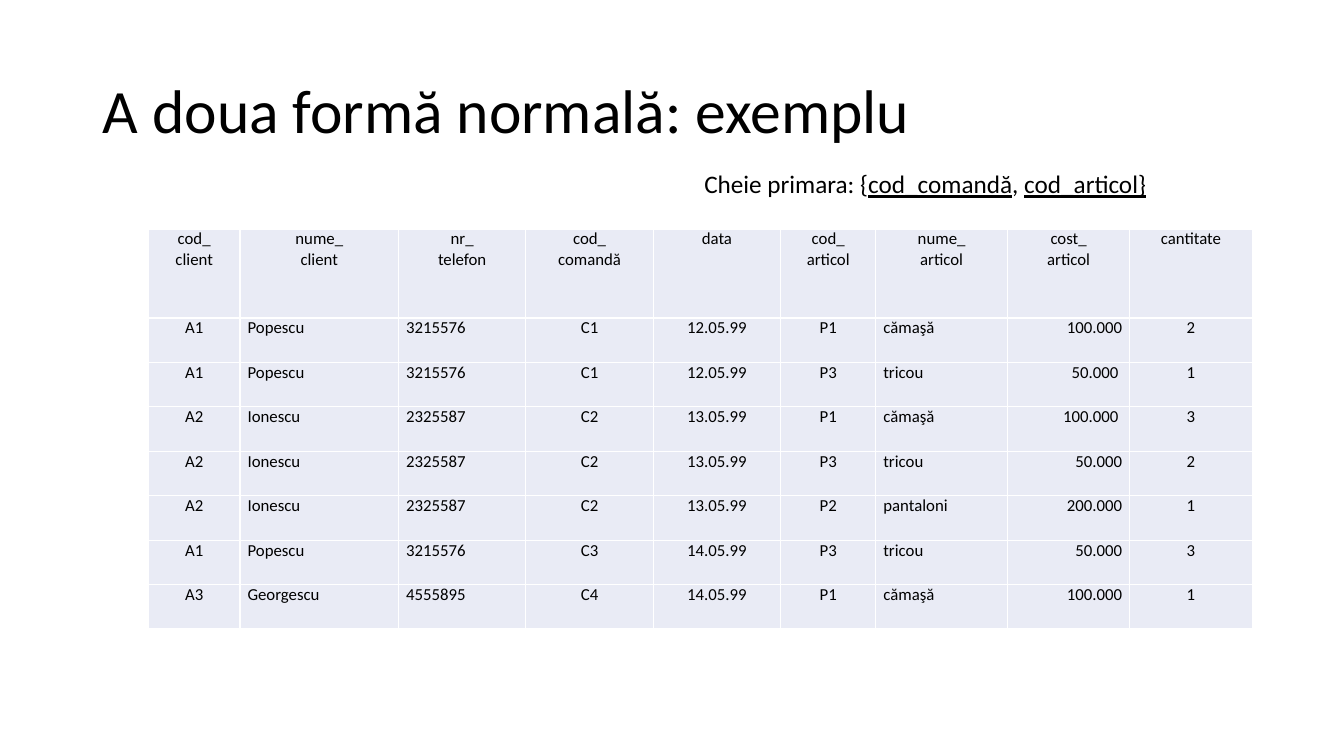
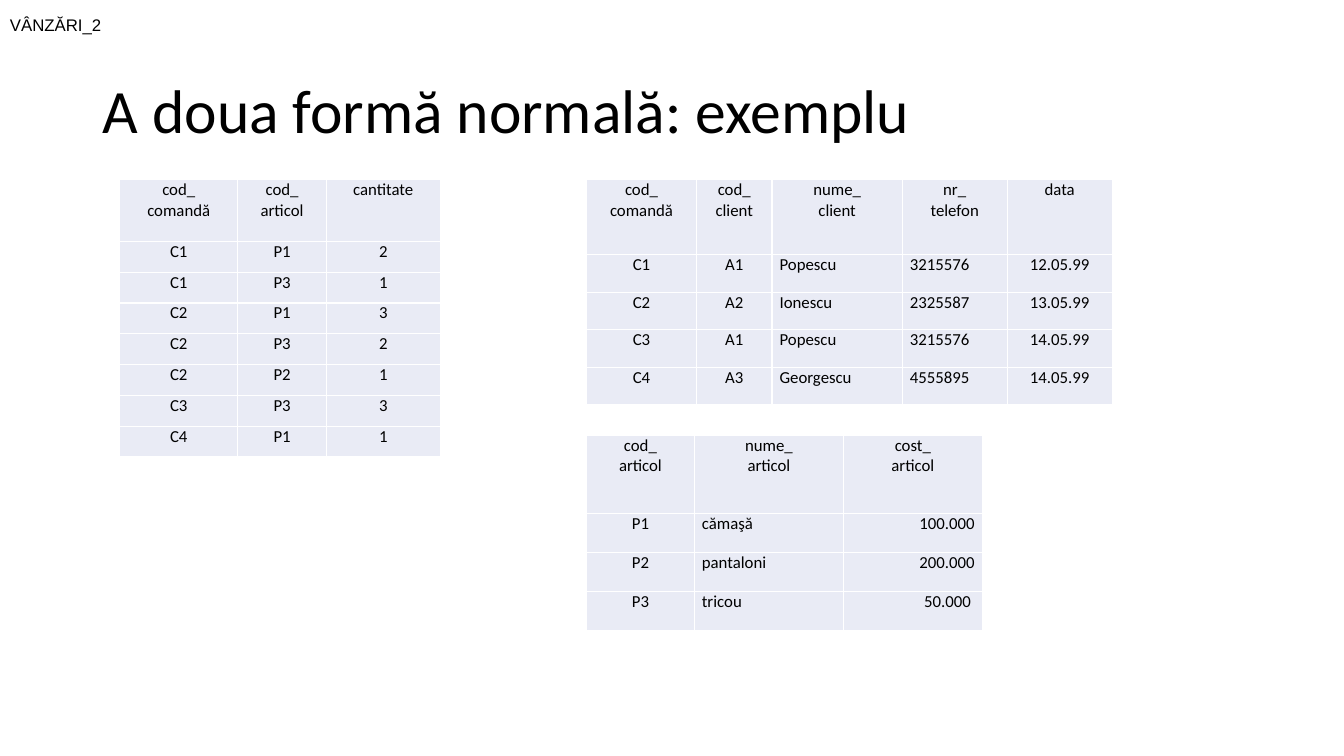
import dataclasses

import pptx
import pptx.dml.color
import pptx.enum.text
import pptx.oxml
import pptx.oxml.ns
import pptx.slide
import pptx.text.text
import pptx.util

Pt = pptx.util.Pt
Align = pptx.enum.text.PP_ALIGN
Anchor = pptx.enum.text.MSO_ANCHOR
Row = tuple[str, ...]


@dataclasses.dataclass(frozen=True)
class Theme:
    ink: str = "000000"
    cell: str = "E9EBF5"
    rule: str = "FFFFFF"
    font: str = "Calibri"
    plain: str = "Arial"
    title: float = 44
    note: float = 18
    small: float = 12
    inset: float = 5.4
    line: float = 1


@dataclasses.dataclass(frozen=True)
class Grid:
    left: float
    top: float
    widths: tuple[float, ...]
    height: float
    names: Row
    rows: list[Row]


THEME = Theme()
TITLE = "A doua formă normală: exemplu"

ALIGNS = {
    "cod_client": Align.CENTER,
    "nume_client": Align.JUSTIFY,
    "nr_telefon": Align.JUSTIFY,
    "cod_comandă": Align.CENTER,
    "data": Align.CENTER,
    "cod_articol": Align.CENTER,
    "nume_articol": Align.JUSTIFY,
    "cost_articol": Align.RIGHT,
    "cantitate": Align.CENTER,
}
FIELDS = tuple(ALIGNS)

SALES = [
    ("A1", "Popescu", "3215576", "C1", "12.05.99", "P1", "cămaşă", "100.000", "2"),
    ("A1", "Popescu", "3215576", "C1", "12.05.99", "P3", "tricou", "50.000 ", "1"),
    ("A2", "Ionescu", "2325587", "C2", "13.05.99", "P1", "cămaşă", "100.000 ", "3"),
    ("A2", "Ionescu", "2325587", "C2", "13.05.99", "P3", "tricou", "50.000", "2"),
    ("A2", "Ionescu", "2325587", "C2", "13.05.99", "P2", "pantaloni", "200.000", "1"),
    ("A1", "Popescu", "3215576", "C3", "14.05.99", "P3", "tricou", "50.000", "3"),
    ("A3", "Georgescu", "4555895", "C4", "14.05.99", "P1", "cămaşă", "100.000", "1"),
]

LINES = ("cod_comandă", "cod_articol", "cantitate")
ORDERS = ("cod_comandă", "cod_client", "nume_client", "nr_telefon", "data")
GOODS = ("cod_articol", "nume_articol", "cost_articol")


def pick(names: Row, keys: int) -> list[Row]:
    found: dict[Row, Row] = {}
    for sale in SALES:
        row = tuple(sale[FIELDS.index(name)] for name in names)
        found.setdefault(row[:keys], row)
    return list(found.values())


def style(run: pptx.text.text._Run, size: float, face: str = THEME.font) -> None:
    run.font.name = face
    run.font.size = Pt(size)
    run.font.color.rgb = pptx.dml.color.RGBColor.from_string(THEME.ink)


def edge(cell) -> None:
    space = pptx.oxml.ns.nsdecls("a")
    props = cell._tc.get_or_add_tcPr()
    for side in "LRTB":
        props.append(pptx.oxml.parse_xml(
            f'<a:ln{side} {space} w="{Pt(THEME.line)}"><a:solidFill>'
            f'<a:srgbClr val="{THEME.rule}"/></a:solidFill></a:ln{side}>'
        ))


def fill(cell, text: str, align: Align) -> None:
    cell.margin_left = cell.margin_right = Pt(THEME.inset)
    cell.margin_top = cell.margin_bottom = 0
    edge(cell)
    cell.fill.solid()
    cell.fill.fore_color.rgb = pptx.dml.color.RGBColor.from_string(THEME.cell)
    cell.text_frame.text = text
    for para in cell.text_frame.paragraphs:
        para.alignment = align
        for run in para.runs:
            style(run, THEME.small)


def draw(slide: pptx.slide.Slide, grid: Grid) -> None:
    count = len(grid.rows) + 1
    table = slide.shapes.add_table(
        count, len(grid.names), Pt(grid.left), Pt(grid.top),
        Pt(sum(grid.widths)), Pt(grid.height * (count + 1)),
    ).table
    table.first_row = table.horz_banding = False
    for row in table.rows:
        row.height = Pt(grid.height)
    table.rows[0].height = Pt(2 * grid.height)
    for col, (name, width) in enumerate(zip(grid.names, grid.widths)):
        table.columns[col].width = Pt(width)
        fill(table.cell(0, col), name.replace("_", "_\n"), Align.CENTER)
        for num, row in enumerate(grid.rows, 1):
            fill(table.cell(num, col), row[col], ALIGNS[name])


def start(deck) -> pptx.slide.Slide:
    slide = deck.slides.add_slide(deck.slide_layouts[5])
    title = slide.shapes.title
    title.left, title.top = Pt(66.2), Pt(28.8)
    title.width, title.height = Pt(828), Pt(104.4)
    frame = title.text_frame
    frame.text = TITLE
    frame.vertical_anchor = Anchor.MIDDLE
    frame.auto_size = pptx.enum.text.MSO_AUTO_SIZE.NONE
    para = frame.paragraphs[0]
    para.alignment = Align.LEFT
    para.line_spacing = 0.9
    style(para.runs[0], THEME.title)
    return slide


def note(slide: pptx.slide.Slide, left: float, top: float, width: float,
         height: float, parts: Row, size: float, face: str) -> None:
    box = slide.shapes.add_textbox(Pt(left), Pt(top), Pt(width), Pt(height))
    frame = box.text_frame
    frame.word_wrap = True
    frame.vertical_anchor = Anchor.MIDDLE
    for num, part in enumerate(parts):
        run = frame.paragraphs[0].add_run()
        run.text = part
        style(run, size, face)
        if num % 2:
            run.font.underline = True


def main() -> None:
    deck = pptx.Presentation()
    deck.slide_width, deck.slide_height = Pt(960), Pt(540)

    whole = start(deck)
    widths = (65.5, 113.2, 91, 91, 91, 68, 94, 87.4, 87.4)
    draw(whole, Grid(106, 163.6, widths, 31.76, FIELDS, SALES))
    key = ("Cheie primara: {", "cod_comandă", ", ", "cod_articol}")
    note(whole, 496, 116.8, 376.6, 29, key, THEME.note, THEME.font)

    split = start(deck)
    note(split, 0, 0, 960, 36, ("VÂNZĂRI_2",), THEME.small, THEME.plain)
    for grid in (
        Grid(85.6, 128.4, (84.2, 63.4, 81.2), 22, LINES, pick(LINES, 2)),
        Grid(419, 128.4, (78.5, 54, 93, 75, 75), 26.8, ORDERS, pick(ORDERS, 1)),
        Grid(419, 311, (77, 106.6, 99), 27.9, GOODS, sorted(pick(GOODS, 1))),
    ):
        draw(split, grid)

    deck.save("out.pptx")


if __name__ == "__main__":
    main()
